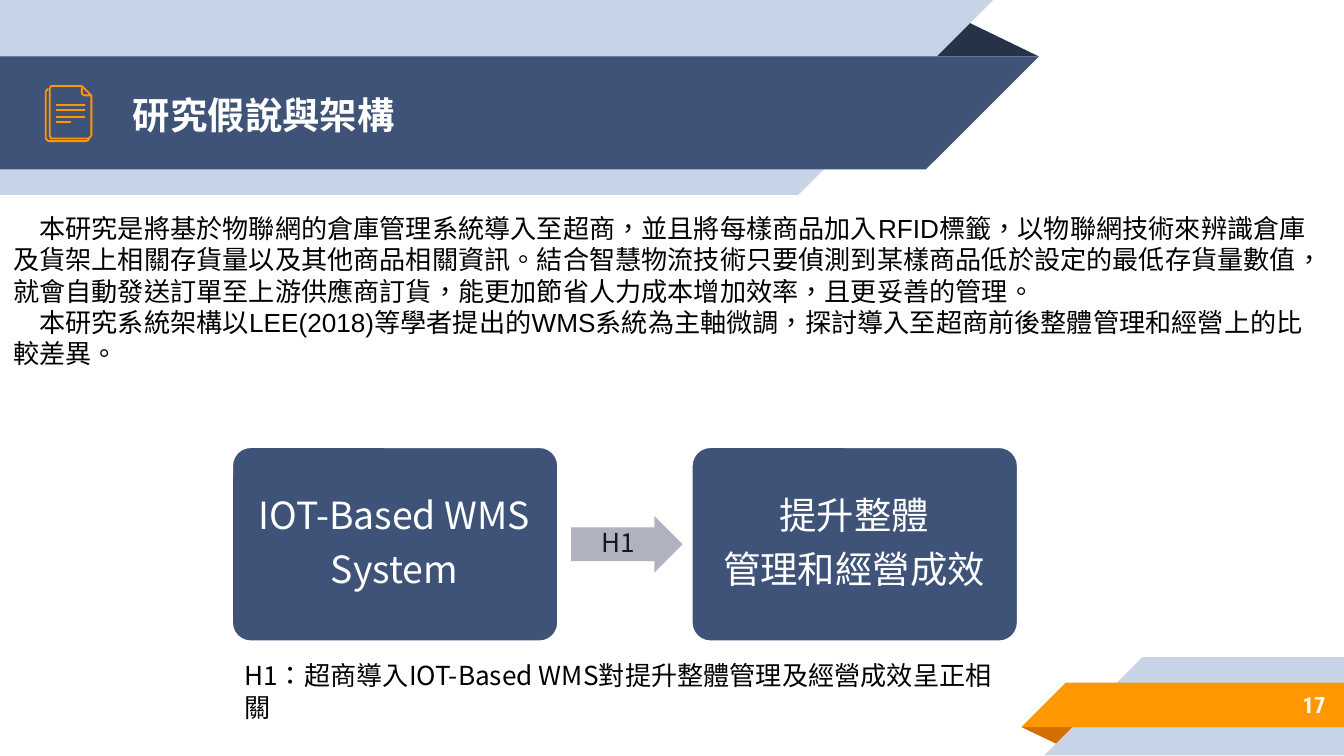
"""Builds the research hypothesis and framework slide."""
from dataclasses import dataclass

from lxml.etree import SubElement
from pptx import Presentation
from pptx.dml.color import RGBColor
from pptx.enum.shapes import MSO_SHAPE as Shape
from pptx.enum.text import MSO_ANCHOR as Anchor, PP_ALIGN as Align
from pptx.oxml.ns import qn
from pptx.util import Inches, Pt


@dataclass(frozen=True)
class Theme:
    navy: str = "3F5378"
    dark: str = "263248"
    pale: str = "C7D3E6"
    orange: str = "FF9800"
    rust: str = "D26F00"
    grey: str = "B0B3BE"
    ink: str = "131924"
    white: str = "FFFFFF"
    black: str = "000000"
    cjk: str = "Noto Sans CJK SC"
    latin: str = "Arial"
    number: str = "Roboto Condensed"
    language: str = "zh-TW"
    heading: int = 20
    body: int = 14
    small: int = 12


@dataclass(frozen=True)
class Box:
    x: float
    y: float
    w: float
    h: float

    def emu(self) -> tuple:
        return tuple(Inches(v) for v in (self.x, self.y, self.w, self.h))


@dataclass(frozen=True)
class Style:
    size: int
    color: str
    font: str = Theme.cjk
    bold: bool = False
    align: Align = Align.LEFT
    anchor: Anchor = Anchor.MIDDLE
    inset: tuple = (0.1, 0.1)
    line: float = 1.0
    after: float = 0


@dataclass(frozen=True)
class Band:
    points: tuple
    color: str


@dataclass(frozen=True)
class Fold:
    box: Box
    color: str
    turn: int


@dataclass(frozen=True)
class Stroke:
    points: tuple
    closed: bool = False


@dataclass(frozen=True)
class Node:
    x: float
    lines: tuple


T = Theme()
TITLE = Style(T.heading, T.white, bold=True)
NUMBER = Style(T.small, T.white, T.number, True, Align.RIGHT)
BODY = Style(T.body, T.black, T.latin, anchor=Anchor.TOP, inset=(0.1, 0.05))
CAPTION = Style(T.body, T.black, anchor=Anchor.TOP, inset=(0.1, 0.05))
NODE = Style(T.heading, T.white, align=Align.CENTER, inset=(0.08, 0.08), line=0.9, after=7)
ARROW = Style(T.body, T.ink, align=Align.CENTER, inset=(0, 0), line=0.9)

HEADER = (
    Fold(Box(6.88, 0.14, 0.85, 0.28), T.dark, 0),
    Band(((0, 0), (7.39, 0), (5.94, 1.45), (0, 1.45)), T.pale),
    Band(((0, 0.42), (7.73, 0.42), (6.89, 1.26), (0, 1.26)), T.navy),
)
FOOTER = (
    Fold(Box(7.6, 5.41, 0.43, 0.14), T.rust, 180),
    Band(((7.77, 5.62), (8.5, 4.89), (10, 4.89), (10, 5.62)), T.pale),
    Band(((7.6, 5.41), (7.93, 5.08), (10, 5.08), (10, 5.41)), T.orange),
)
ICON = (
    Stroke(((0.66, 1.03), (0.66, 1.04), (0.64, 1.05), (0.36, 1.05), (0.34, 1.03),
            (0.34, 0.68), (0.35, 0.67), (0.36, 0.66))),
    Stroke(((0.68, 0.71), (0.68, 1.01), (0.66, 1.03), (0.38, 1.03), (0.37, 1.01),
            (0.37, 0.66), (0.38, 0.64), (0.61, 0.64))),
    *(Stroke(((right, y), (0.42, y)))
      for right, y in ((0.53, 0.91), (0.63, 0.87), (0.63, 0.82), (0.63, 0.78))),
    Stroke(((0.61, 0.7), (0.61, 0.64), (0.68, 0.71), (0.63, 0.71)), True),
)
NODES = (
    Node(1.72, ("IOT-Based WMS", "System")),
    Node(5.14, ("提升整體", "管理和經營成效")),
)
PARAGRAPHS = (
    "　本研究是將基於物聯網的倉庫管理系統導入至超商，並且將每樣商品加入RFID標籤，"
    "以物聯網技術來辨識倉庫及貨架上相關存貨量以及其他商品相關資訊。"
    "結合智慧物流技術只要偵測到某樣商品低於設定的最低存貨量數值，"
    "就會自動發送訂單至上游供應商訂貨，能更加節省人力成本增加效率，且更妥善的管理。",
    "　本研究系統架構以LEE(2018)等學者提出的WMS系統為主軸微調，"
    "探討導入至超商前後整體管理和經營上的比較差異。",
)


def paint(sp, fill: str = "", line: str = "", width: float = 1):
    sp.shadow.inherit = False
    if fill:
        sp.fill.solid()
        sp.fill.fore_color.rgb = RGBColor.from_string(fill)
    else:
        sp.fill.background()
    if line:
        sp.line.color.rgb = RGBColor.from_string(line)
        sp.line.width = Pt(width)
    else:
        sp.line.fill.background()
    return sp


def outline(shapes, points: tuple, closed: bool):
    start, *rest = [(Inches(x), Inches(y)) for x, y in points]
    builder = shapes.build_freeform(*start)
    builder.add_line_segments(rest, close=closed)
    return builder.convert_to_shape()


def draw_ribbon(shapes, parts: tuple) -> None:
    for part in parts:
        if isinstance(part, Band):
            sp = outline(shapes, part.points, True)
        else:
            sp = shapes.add_shape(Shape.ISOSCELES_TRIANGLE, *part.box.emu())
            sp.adjustments[0] = 0.32
            sp.rotation = part.turn
        paint(sp, part.color)


def draw_text(shapes, box: Box, lines: tuple, style: Style) -> None:
    tf = shapes.add_textbox(*box.emu()).text_frame
    tf.word_wrap = True
    tf.vertical_anchor = style.anchor
    tf.margin_left = tf.margin_right = Inches(style.inset[0])
    tf.margin_top = tf.margin_bottom = Inches(style.inset[1])
    tf.text = "\n".join(lines)
    for p in tf.paragraphs:
        p.alignment = style.align
        p.line_spacing = style.line
        p.space_after = Pt(style.after)
        p.font.size = Pt(style.size)
        p.font.bold = style.bold
        p.font.color.rgb = RGBColor.from_string(style.color)
        p.font.name = style.font
        props = p._p.pPr.find(qn("a:defRPr"))
        props.set("lang", T.language)
        SubElement(props, qn("a:ea"), typeface=T.cjk)


def draw_node(shapes, node: Node) -> None:
    sp = shapes.add_shape(Shape.ROUNDED_RECTANGLE, *Box(node.x, 3.32, 2.44, 1.46).emu())
    sp.adjustments[0] = 0.1
    paint(sp, T.navy, T.white, 2)
    draw_text(shapes, Box(node.x + 0.04, 3.36, 2.35, 1.38), node.lines, NODE)


def main() -> None:
    prs = Presentation()
    prs.slide_width = Inches(10)
    prs.slide_height = Inches(10 * 9 / 16)
    shapes = prs.slides.add_slide(prs.slide_layouts[6]).shapes
    draw_ribbon(shapes, HEADER)
    draw_ribbon(shapes, FOOTER)
    draw_text(shapes, Box(0.89, 0.43, 5.75, 0.84), ("研究假說與架構",), TITLE)
    draw_text(shapes, Box(8.33, 5.07, 1.63, 0.35), ("17",), NUMBER)
    for stroke in ICON:
        paint(outline(shapes, stroke.points, stroke.closed), line=T.orange)
    draw_text(shapes, Box(0, 1.53, 9.88, 1.28), PARAGRAPHS, BODY)
    for node in NODES:
        draw_node(shapes, node)
    arrow = paint(shapes.add_shape(Shape.RIGHT_ARROW, *Box(4.25, 3.84, 0.83, 0.42).emu()), T.grey)
    arrow.adjustments[0] = 0.6
    draw_text(shapes, Box(4.25, 3.92, 0.7, 0.25), ("H1",), ARROW)
    draw_text(shapes, Box(1.72, 4.86, 5.86, 0.34),
              ("H1：超商導入IOT-Based WMS對提升整體管理及經營成效呈正相關",), CAPTION)
    prs.save("out.pptx")


if __name__ == "__main__":
    main()
